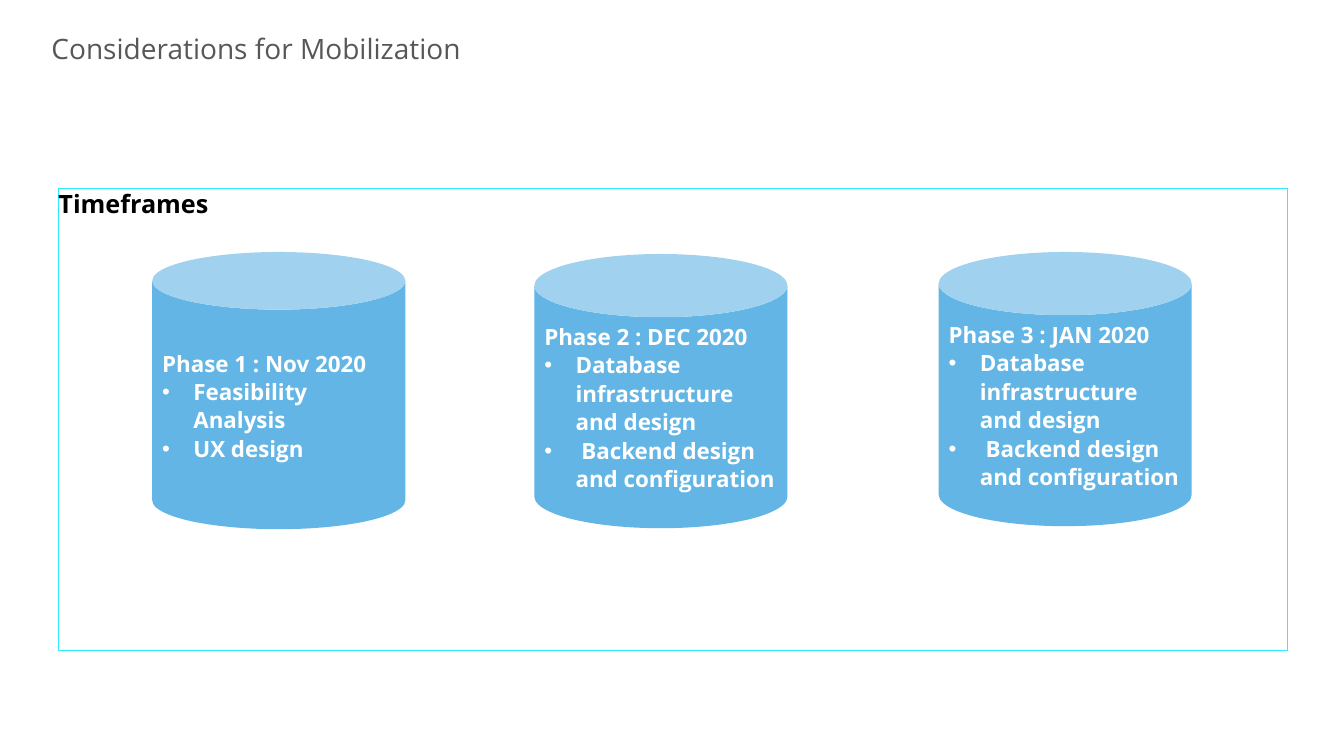
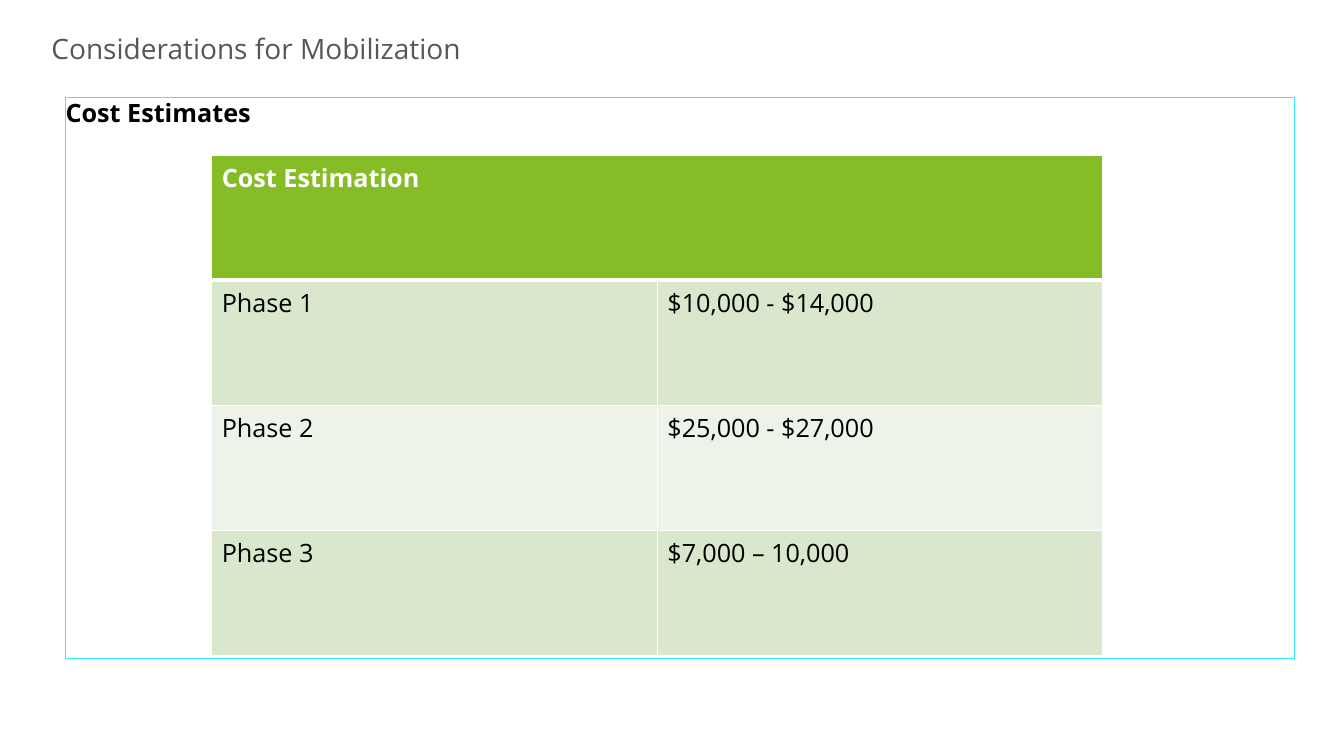
from dataclasses import dataclass

from lxml import etree
from pptx import Presentation
from pptx.dml.color import RGBColor
from pptx.enum.shapes import MSO_SHAPE
from pptx.enum.text import MSO_ANCHOR, PP_ALIGN
from pptx.oxml.ns import qn
from pptx.util import Inches, Pt

RECTANGLE, CAN = MSO_SHAPE.RECTANGLE, MSO_SHAPE.CAN
TOP, MIDDLE = MSO_ANCHOR.TOP, MSO_ANCHOR.MIDDLE
LEFT = PP_ALIGN.LEFT


@dataclass(frozen=True)
class Theme:
    font: str = "Open Sans"
    title_color: str = "575757"
    text: str = "000000"
    white: str = "FFFFFF"
    frame: str = "32E9FF"
    can: str = "62B5E5"
    header: str = "86BC25"
    bands: tuple = ("D9E7CD", "EDF3E8")
    title_size: int = 20
    heading_size: int = 18
    can_size: int = 16


class SlideBuilder:
    def __init__(self, deck, theme):
        self.deck, self.theme, self.slide = deck, theme, None

    def new_slide(self, title):
        self.slide = self.deck.slides.add_slide(self.deck.slide_layouts[6])
        box = self.slide.shapes.add_textbox(
            Inches(0.51), Inches(0.31), Inches(10.02), Inches(0.41))
        frame = self.prepare(box.text_frame, 0, TOP)
        para = self.set_text(frame, title, self.theme.title_size, self.theme.title_color)[0]
        para.space_after = Pt(10)

    def prepare(self, frame, inset, anchor):
        frame.word_wrap = True
        frame.vertical_anchor = anchor
        frame.margin_left = frame.margin_right = Inches(inset)
        frame.margin_top = frame.margin_bottom = Inches(inset)
        return frame

    def set_text(self, frame, text, size, color, bold=False):
        frame.text = text
        for para in frame.paragraphs:
            para.alignment = LEFT
            for span in para.runs:
                span.font.name = self.theme.font
                span.font.size = Pt(size)
                span.font.bold = bold
                span.font.color.rgb = RGBColor.from_string(color)
        return frame.paragraphs

    def shape(self, kind, left, top, width, height):
        shape = self.slide.shapes.add_shape(
            kind, Inches(left), Inches(top), Inches(width), Inches(height))
        shape.shadow.inherit = False
        return shape

    def framed_section(self, heading, left, top, height):
        box = self.shape(RECTANGLE, left, top, 12.19, height)
        box.fill.background()
        box.line.color.rgb = RGBColor.from_string(self.theme.frame)
        box.line.width = Pt(0.75)
        frame = self.prepare(box.text_frame, 0, TOP)
        para = self.set_text(frame, heading, self.theme.heading_size, self.theme.text, True)[0]
        para.space_before = para.space_after = Pt(6)

    def phase_can(self, left, top, height, rim, heading, tasks):
        can = self.shape(CAN, left, top, 2.51, height)
        can.adjustments[0] = rim
        can.fill.solid()
        can.fill.fore_color.rgb = RGBColor.from_string(self.theme.can)
        can.line.fill.background()
        frame = self.prepare(can.text_frame, 0.1, MIDDLE)
        paras = self.set_text(frame, "\n".join([heading, *tasks]),
                              self.theme.can_size, self.theme.white, True)
        for para in paras:
            para.line_spacing = 1.06
        for para in paras[1:]:
            self.bullet(para)

    def bullet(self, para):
        properties = para._p.get_or_add_pPr()
        properties.set("marL", str(Inches(0.31)))
        properties.set("indent", str(-Inches(0.31)))
        etree.SubElement(properties, qn("a:buFont")).set("typeface", "Arial")
        etree.SubElement(properties, qn("a:buChar")).set("char", "•")

    def cost_table(self, heading, rows, left, top, column_width, row_height):
        table = self.slide.shapes.add_table(
            len(rows) + 1, 2, Inches(left), Inches(top),
            Inches(2 * column_width), Inches(row_height * (len(rows) + 1))).table
        for column in table.columns:
            column.width = Inches(column_width)
        # Header across both columns, then banded rows
        theme = self.theme
        for index, values in enumerate([(heading, ""), *rows]):
            is_header = index == 0
            fill = theme.header if is_header else theme.bands[(index - 1) % 2]
            color = theme.white if is_header else theme.text
            for cell, value in zip(table.rows[index].cells, values):
                self.borders(cell, 3 if index == 1 else 1, 3 if is_header else 1)
                cell.fill.solid()
                cell.fill.fore_color.rgb = RGBColor.from_string(fill)
                self.set_text(cell.text_frame, value, theme.heading_size, color, is_header)
        table.cell(0, 0).merge(table.cell(0, 1))

    def borders(self, cell, top, bottom):
        properties = cell._tc.get_or_add_tcPr()
        for side, width in (("L", 1), ("R", 1), ("T", top), ("B", bottom)):
            line = etree.SubElement(properties, qn(f"a:ln{side}"), w=str(Pt(width)))
            fill = etree.SubElement(line, qn("a:solidFill"))
            etree.SubElement(fill, qn("a:srgbClr"), val=self.theme.white)


TITLE = "Considerations for Mobilization"
BUILD_TASKS = ["Database infrastructure and design", " Backend design and configuration"]
PHASES = [
    (1.51, 2.5, 2.75, 0.228, "Phase 1 : Nov 2020", ["Feasibility Analysis", "UX design"]),
    (5.3, 2.52, 2.72, 0.25, "Phase 2 : DEC 2020", BUILD_TASKS),
    (9.31, 2.5, 2.72, 0.25, "Phase 3 : JAN 2020", BUILD_TASKS),
]
COSTS = [
    ("Phase 1", "$10,000 - $14,000"),
    ("Phase 2", "$25,000 - $27,000"),
    ("Phase 3", "$7,000 – 10,000"),
]


def main():
    deck = Presentation()
    deck.slide_width, deck.slide_height = Inches(13.33), Inches(7.5)
    builder = SlideBuilder(deck, Theme())

    # Timeframes
    builder.new_slide(TITLE)
    builder.framed_section("Timeframes", 0.58, 1.87, 4.58)
    for phase in PHASES:
        builder.phase_can(*phase)

    # Cost estimates
    builder.new_slide(TITLE)
    builder.framed_section("Cost Estimates", 0.65, 0.97, 5.56)
    builder.cost_table("Cost Estimation", COSTS, 2.1, 1.54, 4.42, 1.24)

    deck.save("out.pptx")


if __name__ == "__main__":
    main()
